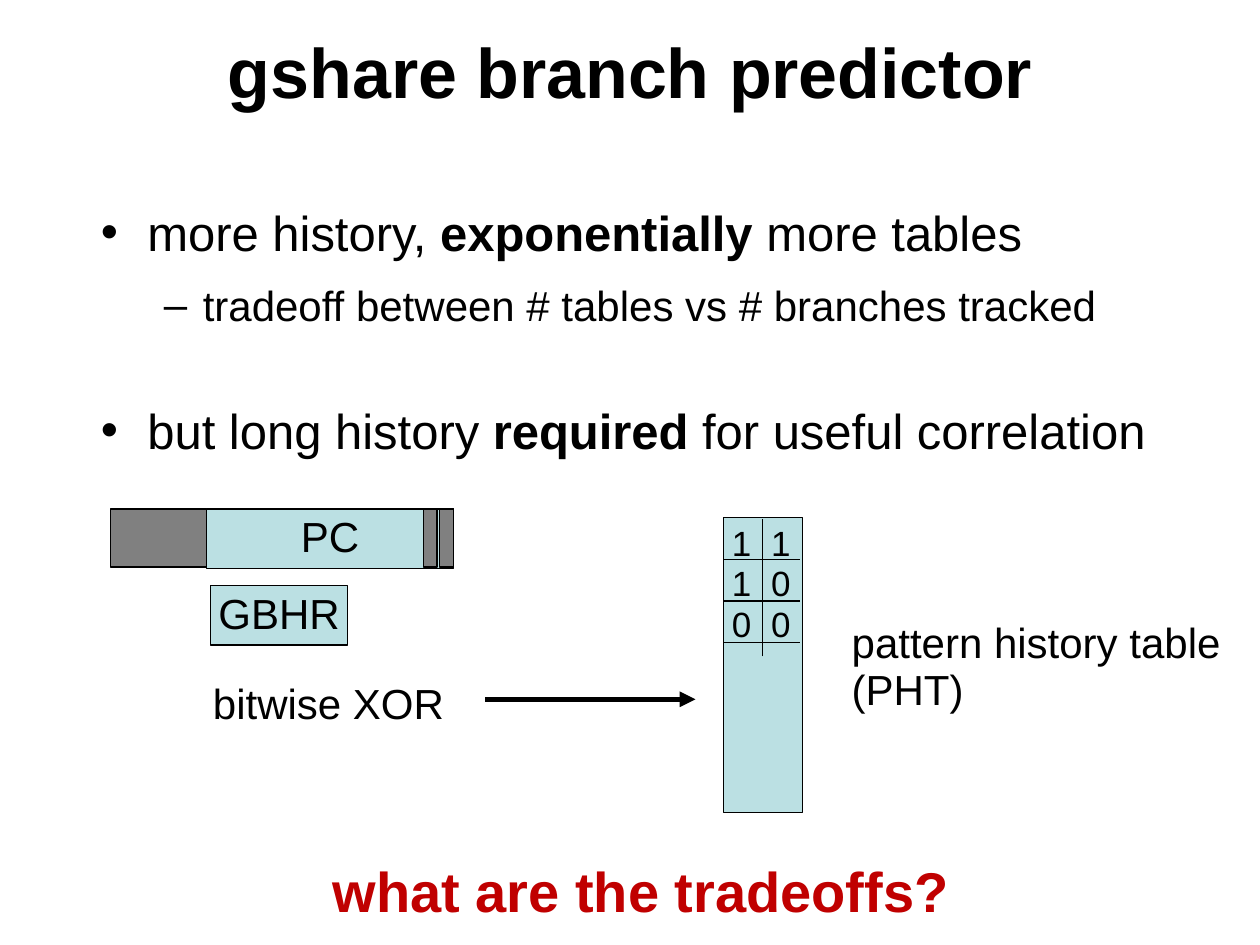
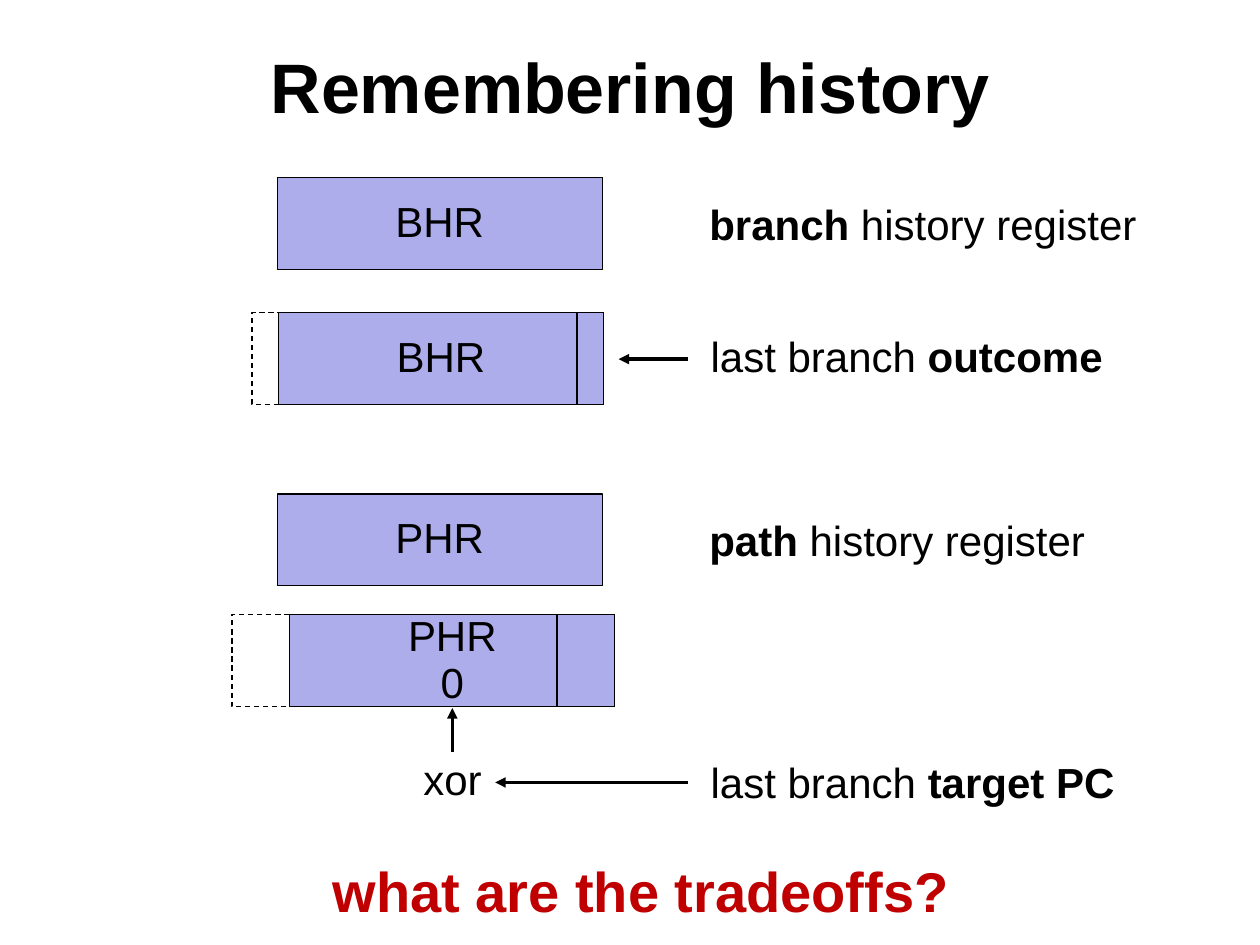
from dataclasses import dataclass

from lxml import etree
from pptx import Presentation
from pptx.dml.color import RGBColor
from pptx.enum.dml import MSO_LINE
from pptx.enum.shapes import MSO_CONNECTOR, MSO_SHAPE
from pptx.enum.text import MSO_ANCHOR, MSO_AUTO_SIZE, PP_ALIGN
from pptx.oxml.ns import qn
from pptx.util import Inches, Pt

RECTANGLE, STRAIGHT, DASH = MSO_SHAPE.RECTANGLE, MSO_CONNECTOR.STRAIGHT, MSO_LINE.DASH
TOP, MIDDLE = MSO_ANCHOR.TOP, MSO_ANCHOR.MIDDLE
LEFT, CENTER = PP_ALIGN.LEFT, PP_ALIGN.CENTER
FIXED_SIZE = MSO_AUTO_SIZE.NONE

FONT = "Arial"
BLACK, RED, GREY = "000000", "C00000", "808080"
TEAL, LAVENDER = "BBE0E3", "ADADEB"
TITLE_ONLY = 5
INSET = Inches(0.05)
TIGHT, LOOSE = 0.93, 1.16
REGISTER_WIDTH, REGISTER_HEIGHT = 2.58, 0.73


@dataclass
class Box:
    left: float
    top: float
    width: float
    height: float
    fill: str | None = None
    text: str = ""
    dashed: bool = False


@dataclass
class Label:
    left: float
    top: float
    width: float
    height: float
    text: str
    size: float = 24
    color: str = BLACK


@dataclass
class Line:
    start: tuple[float, float]
    end: tuple[float, float]
    weight: float = 0.75
    arrow: bool = False


@dataclass
class Bullet:
    text: str
    mark: str
    size: float
    margin: float
    hanging: float
    before: float


@dataclass
class Register:
    """A history register; shift is the width pushed out on the left."""
    left: float
    top: float
    text: str
    shift: float = 0


def rgb(color: str) -> RGBColor:
    return RGBColor.from_string(color)


def set_frame(frame, anchor=TOP, wrap: bool = False) -> None:
    settings = dict(margin_left=INSET, margin_right=INSET, margin_top=INSET,
                    margin_bottom=INSET, vertical_anchor=anchor,
                    word_wrap=wrap, auto_size=FIXED_SIZE)
    for name, value in settings.items():
        setattr(frame, name, value)


def write(paragraph, text: str, size: float, color: str = BLACK,
          align=LEFT, spacing: float = TIGHT) -> None:
    """Fill a paragraph; parts between ** are bold."""
    paragraph.alignment, paragraph.line_spacing = align, spacing
    for index, part in enumerate(text.split("**")):
        if not part:
            continue
        for line_index, line in enumerate(part.split("\n")):
            if line_index:
                paragraph.add_line_break()
            run = paragraph.add_run()
            run.text = line
            run.font.color.rgb = rgb(color)
            settings = dict(name=FONT, size=Pt(size), bold=index % 2 == 1)
            for name, value in settings.items():
                setattr(run.font, name, value)


def add_box(slide, box: Box) -> None:
    shape = slide.shapes.add_shape(RECTANGLE, *map(
        Inches, (box.left, box.top, box.width, box.height)))
    shape.shadow.inherit = False
    if box.fill:
        shape.fill.solid()
        shape.fill.fore_color.rgb = rgb(box.fill)
    else:
        shape.fill.background()
    shape.line.color.rgb, shape.line.width = rgb(BLACK), Pt(0.75)
    if box.dashed:
        shape.line.dash_style = DASH
    if box.text:
        set_frame(shape.text_frame, MIDDLE)
        write(shape.text_frame.paragraphs[0], box.text, 24, align=CENTER)


def add_frame(slide, left: float, top: float, width: float, height: float, wrap: bool = False):
    frame = slide.shapes.add_textbox(*map(Inches, (left, top, width, height))).text_frame
    set_frame(frame, wrap=wrap)
    return frame


def add_label(slide, label: Label) -> None:
    frame = add_frame(slide, label.left, label.top, label.width, label.height)
    write(frame.paragraphs[0], label.text, label.size, label.color)


def add_line(slide, line: Line) -> None:
    connector = slide.shapes.add_connector(
        STRAIGHT, *map(Inches, (*line.start, *line.end)))
    connector.line.color.rgb, connector.line.width = rgb(BLACK), Pt(line.weight)
    properties = connector.line._get_or_add_ln()
    if line.arrow:
        etree.SubElement(properties, qn("a:tailEnd"), type="triangle")
    etree.SubElement(properties.getparent(), qn("a:effectLst"))


def add_bullets(slide, bullets: list[Bullet]) -> None:
    frame = add_frame(slide, 0.75, 1.48, 9.16, 2.5, wrap=True)
    for index, bullet in enumerate(bullets):
        paragraph = frame.add_paragraph() if index else frame.paragraphs[0]
        properties = paragraph._p.get_or_add_pPr()
        properties.set("marL", str(Inches(bullet.margin)))
        properties.set("indent", str(-Inches(bullet.hanging)))
        etree.SubElement(properties, qn("a:buFont"), typeface=FONT)
        etree.SubElement(properties, qn("a:buChar"), char=bullet.mark)
        paragraph.space_before = Pt(bullet.before)
        write(paragraph, bullet.text, bullet.size, spacing=LOOSE)


def add_bits(slide, left: float, top: float, bits: str) -> None:
    """Write the two bits of one table entry, one per column."""
    paragraph = add_frame(slide, left, top, 0.6, 0.41, wrap=True).paragraphs[0]
    tabs = etree.SubElement(paragraph._p.get_or_add_pPr(), qn("a:tabLst"))
    etree.SubElement(tabs, qn("a:tab"), pos=str(Inches(0.31)), algn="l")
    write(paragraph, "\t".join(bits), 20, spacing=1.0)


def add_register(slide, register: Register) -> None:
    left, top, shift = register.left, register.top, register.shift
    size = REGISTER_WIDTH, REGISTER_HEIGHT
    if shift:
        add_box(slide, Box(left - shift, top, *size, dashed=True))
    add_box(slide, Box(left, top, *size, LAVENDER, register.text))
    if shift:
        add_box(slide, Box(left + REGISTER_WIDTH - shift, top, shift, REGISTER_HEIGHT))


def add_slide(deck, title_text: str, title_top: float):
    """Start a slide with its title and the closing question."""
    slide = deck.slides.add_slide(deck.slide_layouts[TITLE_ONLY])
    title = slide.shapes.title
    place = dict(left=0.75, top=title_top, width=8.5, height=1.43)
    for name, value in place.items():
        setattr(title, name, Inches(value))
    set_frame(title.text_frame, MIDDLE, wrap=True)
    write(title.text_frame.paragraphs[0], f"**{title_text}**", 40, align=CENTER, spacing=LOOSE)
    add_label(slide, Label(2.59, 6.8, 5, 0.6, "**what are the tradeoffs?**", 32, RED))
    return slide


def build_gshare(deck) -> None:
    slide = add_slide(deck, "gshare branch predictor", -0.21)
    add_bullets(slide, [
        Bullet("more history, **exponentially** more tables", "•", 28, 0.37, 0.37, 0),
        Bullet("tradeoff between # tables vs # branches tracked", "–", 24, 0.81, 0.31, 6),
        Bullet("but long history **required** for useful correlation", "•", 28, 0.37, 0.37, 35),
    ])

    # Program counter, history register and pattern history table
    for box in (
        Box(1.64, 4.04, 1.96, 0.47, TEAL, "PC"),
        Box(0.88, 4.04, 0.76, 0.46, GREY),
        Box(3.49, 4.04, 0.11, 0.46, GREY),
        Box(3.36, 4.04, 0.11, 0.46, GREY),
        Box(1.67, 4.65, 1.09, 0.47, TEAL, "GBHR"),
        Box(5.74, 4.11, 0.63, 2.34, TEAL),
    ):
        add_box(slide, box)

    # Table entries
    for row, bits in enumerate(("11", "10", "00")):
        rule = 4.44 + 0.33 * row
        add_line(slide, Line((5.74, rule), (6.35, rule)))
        add_bits(slide, 5.76, 4.09 + 0.32 * row, bits)
    add_line(slide, Line((6.05, 5.21), (6.05, 4.12)))

    # Hash into the table
    add_label(slide, Label(1.64, 5.36, 1.95, 0.48, "bitwise XOR"))
    add_line(slide, Line((3.85, 5.55), (5.52, 5.55), 3, arrow=True))
    add_label(slide, Label(6.71, 4.88, 3.04, 0.84, "pattern history table\n(PHT)"))


def build_history(deck) -> None:
    slide = add_slide(deck, "Remembering history", -0.09)

    # Registers before and after a shift
    for register in (
        Register(2.2, 1.41, "BHR"),
        Register(2.21, 2.48, "BHR", 0.21),
        Register(2.2, 3.92, "PHR"),
        Register(2.3, 4.88, "PHR\n0", 0.46),
    ):
        add_register(slide, register)

    # Explanations
    for label in (
        Label(5.58, 1.56, 3.5, 0.48, "**branch** history register"),
        Label(5.59, 2.61, 3.23, 0.48, "last branch **outcome**"),
        Label(5.58, 4.07, 3.1, 0.48, "**path** history register"),
        Label(5.59, 5.99, 3.32, 0.48, "last branch **target PC**"),
        Label(3.31, 5.97, 0.58, 0.48, "xor"),
    ):
        add_label(slide, label)

    # Inputs to the registers
    for start, end in (
        ((5.46, 2.85), (4.91, 2.85)),
        ((5.46, 6.21), (3.93, 6.21)),
        ((3.59, 5.97), (3.59, 5.62)),
    ):
        add_line(slide, Line(start, end, 2, arrow=True))


def main() -> None:
    deck = Presentation()
    deck.slide_width, deck.slide_height = Inches(10), Inches(7.5)
    build_gshare(deck)
    build_history(deck)
    deck.save("out.pptx")


if __name__ == "__main__":
    main()
